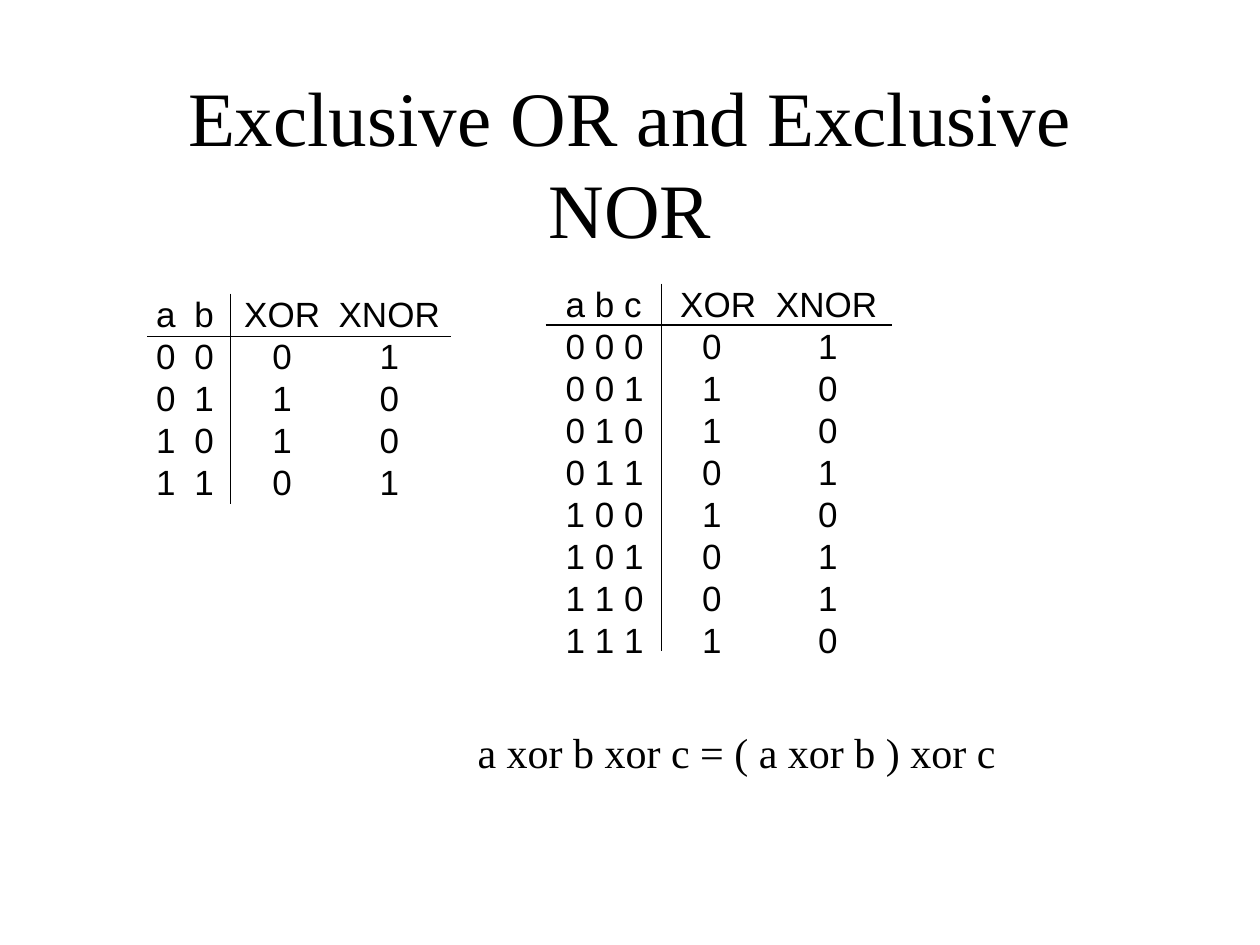
from lxml import etree
from pptx import Presentation
from pptx.dml.color import RGBColor
from pptx.enum.shapes import MSO_CONNECTOR
from pptx.enum.text import MSO_ANCHOR, PP_ALIGN
from pptx.oxml.ns import qn
from pptx.util import Inches, Pt

BLACK = RGBColor(0, 0, 0)
STRAIGHT = MSO_CONNECTOR.STRAIGHT
MIDDLE, TOP = MSO_ANCHOR.MIDDLE, MSO_ANCHOR.TOP
CENTER, LEFT = PP_ALIGN.CENTER, PP_ALIGN.LEFT

TITLE_FONT = {"name": "Times New Roman", "size": Pt(44)}
TABLE_FONT = {"name": "Arial", "size": Pt(20)}
FORMULA_FONT = {"name": "Times New Roman", "size": Pt(24)}


def add_lines(slide, box, lines, font_format, align=LEFT, anchor=TOP, line_tabs=()):
    """Write one paragraph per line; line_tabs holds each line's centred stops in inches."""
    frame = slide.shapes.add_textbox(*map(Inches, box)).text_frame
    frame.word_wrap = True
    frame.vertical_anchor = anchor
    if align == LEFT:
        frame.margin_left, frame.margin_right = Inches(0.18), 0
    frame.text = "\n".join(lines)
    for paragraph, tabs in zip(frame.paragraphs, line_tabs):
        tab_list = etree.SubElement(paragraph._p.get_or_add_pPr(), qn("a:tabLst"))
        for position in tabs:
            etree.SubElement(tab_list, qn("a:tab"), pos=str(Inches(position)), algn="ctr")
    for paragraph in frame.paragraphs:
        paragraph.alignment = align
        for run in paragraph.runs:
            for key, value in font_format.items():
                setattr(run.font, key, value)
            run.font.color.rgb = BLACK


def add_rule(slide, start, end):
    rule = slide.shapes.add_connector(STRAIGHT, *map(Inches, start + end))
    rule.line.color.rgb = BLACK
    rule.line.width = Pt(0.75)
    etree.SubElement(rule._element.spPr, qn("a:effectLst"))


def truth_lines(inputs, gap):
    """Header, then every input combination with its parity and the inverse."""
    lines = [f"{gap.join(inputs)}\tXOR\tXNOR"]
    for number in range(2 ** len(inputs)):
        bits = f"{number:0{len(inputs)}b}"
        xor = bits.count("1") % 2
        lines.append(f"{gap.join(bits)}\t{xor}\t{1 - xor}")
    return lines


def add_truth_table(slide, box, inputs, gap, header_tabs, value_tabs, across, down):
    """Place a truth table; across is (x1, x2, y) and down is (x, y1, y2)."""
    lines = truth_lines(inputs, gap)
    line_tabs = [header_tabs] + [value_tabs] * (len(lines) - 1)
    add_lines(slide, box, lines, TABLE_FONT, line_tabs=line_tabs)
    left, right, y = across
    add_rule(slide, (left, y), (right, y))
    x, top, bottom = down
    add_rule(slide, (x, top), (x, bottom))


def main():
    presentation = Presentation()
    presentation.slide_width, presentation.slide_height = Inches(10), Inches(7.5)
    slide = presentation.slides.add_slide(presentation.slide_layouts[6])
    add_lines(slide, (0.75, 0.66, 8.5, 1.25), ["Exclusive OR and Exclusive NOR"],
              TITLE_FONT, CENTER, MIDDLE)
    add_truth_table(slide, (1.06, 2.27, 2.53, 1.77), "ab", "\t",
                    header_tabs=(0.38, 1, 1.85), value_tabs=(0.38, 1, 1.85),
                    across=(1.17, 3.58, 2.67), down=(1.83, 2.33, 4))
    add_truth_table(slide, (4.31, 2.19, 2.75, 3.1), "abc", " ",
                    header_tabs=(1.21, 2.07), value_tabs=(1.16, 2.08),
                    across=(4.33, 7.08, 2.58), down=(5.25, 2.25, 5.17))
    add_lines(slide, (3.61, 5.72, 4.39, 0.5), ["a xor b xor c = ( a xor b ) xor c"],
              FORMULA_FONT)
    presentation.save("out.pptx")


if __name__ == "__main__":
    main()
